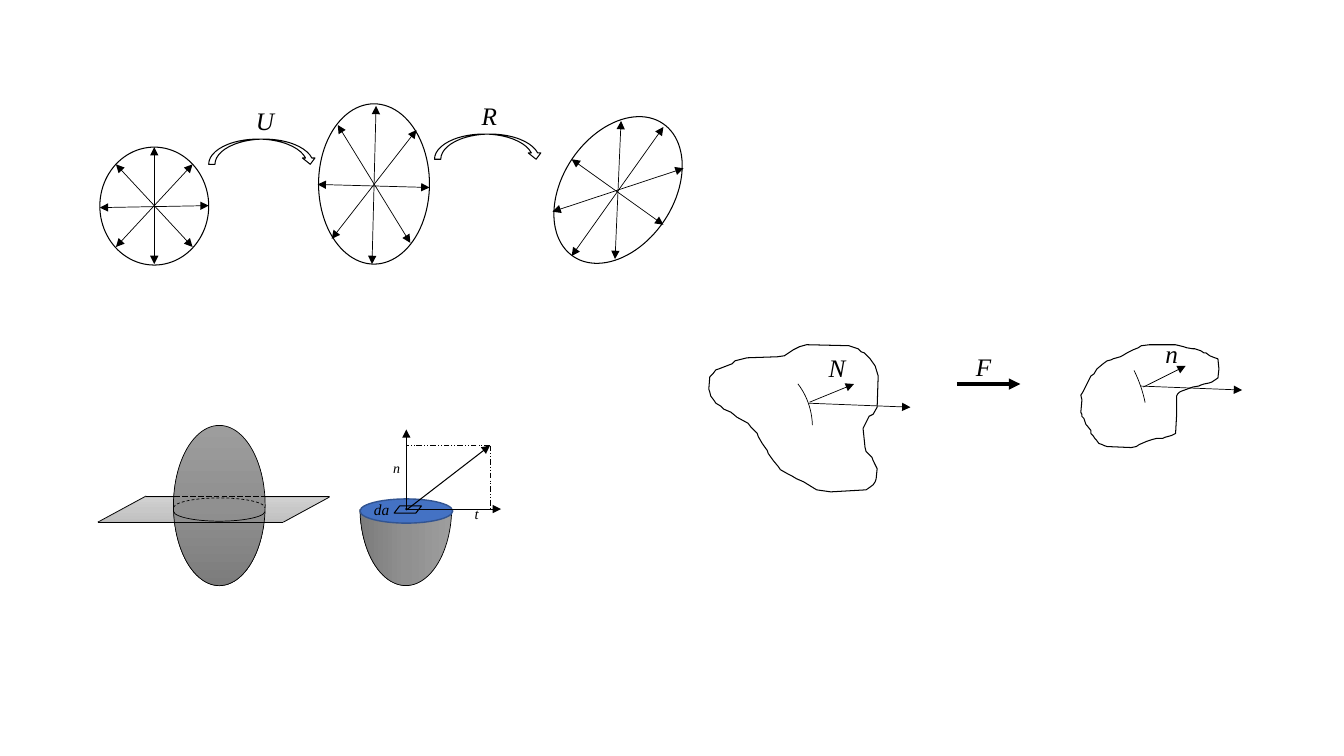
from copy import deepcopy

from lxml import etree
from pptx import Presentation
from pptx import util as u
from pptx.dml.color import RGBColor
from pptx.enum import dml, shapes, text
from pptx.oxml.ns import qn

CELL = u.Inches(0.01)
KIND = shapes.MSO_SHAPE
DASH = dml.MSO_LINE
BLACK = "000000"
SHADED = ("9D9D9D", "909090", "7C7C7C")
PLANE = ("D2D2D2", "C8C8C8", "C0C0C0")

UNDEFORMED = [
    (121, 146), (107, 144), (94, 136), (87, 133), (82, 130), (78, 128), (71, 124), (69, 121),
    (64, 115), (59, 108), (58, 105), (53, 98), (49, 91), (48, 88), (42, 82), (39, 78),
    (28, 72), (22, 67), (15, 64), (12, 61), (7, 58), (5, 55), (2, 51), (1, 47),
    (0, 44), (1, 32), (4, 29), (7, 25), (10, 24), (23, 19), (26, 16), (38, 13),
    (68, 12), (75, 11), (84, 5), (90, 2), (97, 0), (139, 1), (145, 3), (148, 4),
    (151, 7), (154, 8), (160, 14), (165, 21), (168, 31), (167, 62), (163, 69), (159, 71),
    (156, 77), (153, 83), (155, 102), (156, 106), (162, 112), (163, 115), (165, 119),
    (167, 123), (166, 133), (165, 136), (163, 139), (159, 142), (156, 144), (139, 145),
]
DEFORMED = [
    (0, 50), (2, 47), (5, 41), (9, 33), (10, 31), (13, 29), (16, 24), (22, 19),
    (26, 16), (30, 15), (32, 14), (39, 12), (41, 11), (46, 8), (52, 5), (57, 3),
    (60, 1), (68, 0), (94, 0), (102, 2), (105, 3), (111, 4), (113, 4), (119, 6),
    (122, 8), (124, 8), (128, 11), (133, 13), (136, 14), (137, 24), (136, 33), (130, 37),
    (127, 38), (122, 39), (119, 40), (117, 41), (111, 42), (100, 46), (98, 47), (96, 49),
    (95, 51), (95, 70), (94, 88), (90, 90), (83, 92), (81, 93), (75, 93), (71, 94),
    (65, 96), (58, 99), (55, 101), (50, 102), (26, 101), (23, 100), (21, 99), (18, 98),
    (15, 94), (14, 93), (12, 90), (10, 88), (10, 85), (6, 80), (5, 79), (3, 73),
    (1, 71), (1, 69), (0, 67), (1, 56), (1, 54),
]


def color(value):
    return RGBColor.from_string(value)


def inside(box, part):
    return (box[0] + part[0], box[1] + part[1], *part[2:])


def cells(values):
    return [round(value * CELL) for value in values]


def paint(shape, fill=None, line=BLACK, weight=0.75, dash=None):
    shape.shadow.inherit = False
    if fill is None:
        shape.fill.background()
    elif isinstance(fill, str):
        shape.fill.solid()
        shape.fill.fore_color.rgb = color(fill)
    else:
        shape.fill.gradient()
        shape.fill.gradient_angle = 270
        stop_list = shape._element.spPr.find(qn("a:gradFill")).find(qn("a:gsLst"))
        stop_list.append(deepcopy(stop_list[-1]))
        for index, stop in enumerate(shape.fill.gradient_stops):
            stop.position = index / 2
            stop.color.rgb = color(fill[index])
    if line is None:
        shape.line.fill.background()
        return
    shape.line.color.rgb = color(line)
    shape.line.width = u.Pt(weight)
    if dash:
        shape.line.dash_style = dash


def add_figure(parts, box, kind, part, turn=0, adjust=(), **style):
    shape = parts.add_shape(kind, *cells(inside(box, part)))
    shape.rotation = turn
    for index, value in enumerate(adjust):
        shape.adjustments[index] = value
    paint(shape, **style)


def add_line(parts, box, ends, weight=0.5, heads=(), dash=None):
    x1, y1, x2, y2 = ends
    points = cells(inside(box, (x1, y1)) + inside(box, (x2, y2)))
    line = parts.add_connector(shapes.MSO_CONNECTOR.STRAIGHT, *points)
    line.line.color.rgb = color(BLACK)
    line.line.width = u.Pt(weight)
    if dash:
        line.line.dash_style = dash
    for head in heads:
        etree.SubElement(line._element.spPr.find(qn("a:ln")), qn("a:" + head), type="triangle")
    etree.SubElement(line._element.spPr, qn("a:effectLst"))


def add_label(parts, box, part, words, size=18):
    label = parts.add_textbox(*cells(inside(box, part)))
    frame = label.text_frame
    frame.word_wrap = False
    frame.auto_size = text.MSO_AUTO_SIZE.SHAPE_TO_FIT_TEXT
    span = frame.paragraphs[0].add_run()
    span.text = words
    span.font.name = "Times New Roman"
    span.font.size = u.Pt(size)
    span.font.italic = True
    span.font.color.rgb = color(BLACK)


def add_wheel(parts, box, spokes, turn=0):
    add_figure(parts, box, KIND.FLOWCHART_CONNECTOR, (0, 0, *box[2:]), turn)
    for ends in spokes:
        add_line(parts, box, ends, heads=("headEnd", "tailEnd"))


def add_stretch_and_rotation(parts, box):
    add_wheel(parts, inside(box, (0, 43, 108, 117)),
              [(54, 0, 54, 116), (16, 17, 92, 99), (0, 60, 108, 58), (16, 99, 92, 17)])
    add_wheel(parts, inside(box, (217, 0, 110, 159)),
              [(57, 2, 53, 159), (19, 21, 91, 138), (-1, 80, 110, 83), (13, 134, 97, 26)])
    add_wheel(parts, inside(box, (459, 6, 110, 159)),
              [(100, 17, 9, 145), (58, 11, 52, 148), (9, 49, 100, 114), (-10, 101, 120, 58)],
              turn=33.9)
    for words, left, top in [("U", 108, 35), ("R", 332, 30)]:
        add_figure(parts, box, KIND.CURVED_DOWN_ARROW, (left, top, 107, 25))
        add_label(parts, box, (left + 37, top - 38, 36, 40), words)


def add_body(parts, box, outline, arc, turn, arc_end, normal, force, words, spot):
    builder = parts.build_freeform(*outline[0], scale=CELL)
    builder.add_line_segments(outline[1:], close=True)
    paint(builder.convert_to_shape(*cells(box[:2])))
    add_figure(parts, box, KIND.ARC, arc, turn, (195.34, arc_end), weight=0.5)
    for ends in (normal, force):
        add_line(parts, box, ends, heads=("tailEnd",))
    add_label(parts, box, spot, words)


def add_deformation(parts, box):
    add_body(parts, box, UNDEFORMED, (10, 18, 92, 115), 345.9, 11.57,
             (100, 57, 144, 39), (99, 58, 200, 62), "N", (109, 3, 37, 40))
    add_body(parts, inside(box, (369, 0)), DEFORMED, (7, -10, 54, 121), 341.3, 19.01,
             (62, 42, 104, 21), (59, 41, 160, 45), "n", (74, -11, 34, 40))
    add_line(parts, box, (246, 39, 309, 39), 2.75, ("tailEnd",))
    add_label(parts, box, (255, 2, 34, 40), "F")


def add_cut_ellipsoid(parts, box):
    add_figure(parts, box, KIND.FLOWCHART_DATA, (1, 71, 229, 25),
               fill=PLANE, line="A5A5A5", weight=0.5)
    add_figure(parts, box, KIND.OVAL, (75, 0, 91, 159), fill=SHADED, weight=0.5)
    for top, turn, dash in [(72, 0, DASH.DASH), (75, 180, None)]:
        add_figure(parts, box, KIND.ARC, (75, top, 91, 20), turn, (108.46, 0),
                   weight=0.5, dash=dash)
    for ends in [(48, 70, 0, 96), (0, 96, 184, 96), (230, 71, 184, 96),
                 (48, 70, 76, 70), (166, 70, 232, 70)]:
        add_line(parts, box, ends)
    add_line(parts, box, (76, 70, 169, 70), dash=DASH.LONG_DASH)


def add_traction(parts, box):
    add_figure(parts, box, KIND.FLOWCHART_DELAY, (-2, 49, 155, 91), 90,
               fill=SHADED, weight=0.5)
    add_figure(parts, box, KIND.RECTANGLE, (0, 0, 160, 96), fill="FFFFFF", line=None)
    add_figure(parts, box, KIND.OVAL, (30, 86, 92, 24), fill="4472C4", line="325491", weight=1)
    add_figure(parts, box, KIND.FLOWCHART_CONNECTOR, (75, 95, 2, 2), fill=BLACK, line=None)
    add_figure(parts, box, KIND.FLOWCHART_DATA, (64, 93, 27, 7))
    for ends in [(76, 96, 76, 17), (76, 97, 159, 33), (77, 96, 170, 96)]:
        add_line(parts, box, ends, 0.75, ("tailEnd",))
    for ends in [(159, 33, 77, 33), (159, 33, 159, 96)]:
        add_line(parts, box, ends, dash=DASH.DASH_DOT_DOT)
    add_label(parts, box, (53, 42, 28, 27), "n", 10)
    add_label(parts, box, (34, 82, 36, 29), "da", 11)
    add_label(parts, box, (134, 87, 25, 29), "t", 10.5)


def main():
    deck = Presentation()
    deck.slide_width = u.Inches(13.33)
    deck.slide_height = u.Inches(7.5)
    page = deck.slides.add_slide(deck.slide_layouts[6])
    add_stretch_and_rotation(page.shapes.add_group_shape().shapes, (99, 103))
    add_deformation(page.shapes.add_group_shape().shapes, (703, 342))
    add_cut_ellipsoid(page.shapes, (97, 422))
    add_traction(page.shapes, (327, 409))
    deck.save("out.pptx")


if __name__ == "__main__":
    main()
